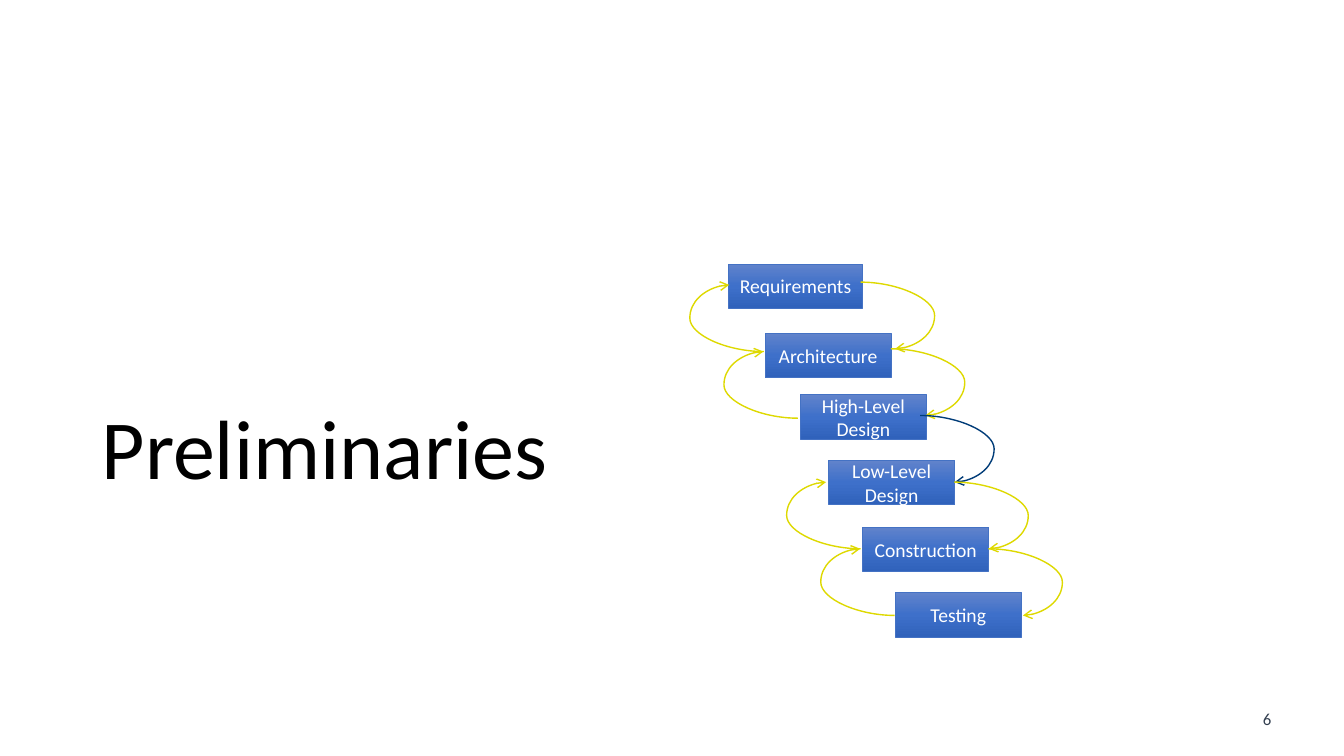
from copy import deepcopy

from lxml import etree
from pptx import Presentation
from pptx.dml.color import RGBColor
from pptx.enum.shapes import MSO_CONNECTOR, MSO_SHAPE
from pptx.enum.text import MSO_ANCHOR, MSO_AUTO_SIZE, PP_ALIGN
from pptx.oxml.ns import qn
from pptx.util import Cm, Pt

CURVE = MSO_CONNECTOR.CURVE
RECT = MSO_SHAPE.RECTANGLE
MIDDLE, BOTTOM = MSO_ANCHOR.MIDDLE, MSO_ANCHOR.BOTTOM
NO_AUTOFIT = MSO_AUTO_SIZE.NONE
LEFT, CENTER = PP_ALIGN.LEFT, PP_ALIGN.CENTER

BLACK = RGBColor(0x00, 0x00, 0x00)
WHITE = RGBColor(0xFF, 0xFF, 0xFF)
SLATE = RGBColor(0x33, 0x3F, 0x50)
BLUE = RGBColor(0x44, 0x72, 0xC4)
NAVY = RGBColor(0x00, 0x3C, 0x78)
YELLOW = RGBColor(0xDE, 0xD9, 0x00)
GRADIENT = (
    (0, RGBColor(0x61, 0x83, 0xCB)),
    (0.5, RGBColor(0x3E, 0x70, 0xCA)),
    (1, RGBColor(0x30, 0x62, 0xBB)),
)
FONT = "Calibri"

PHASES = (
    ("Requirements", 0.99, 0, 3.38),
    ("Architecture", 1.91, 1.75, 3.18),
    ("High-Level Design", 2.8, 3.3, 3.18),
    ("Low-Level Design", 3.51, 4.95, 3.18),
    ("Construction", 4.37, 6.63, 3.18),
    ("Testing", 5.19, 8.28, 3.18),
)
PHASE_HEIGHT = 1.12
FORWARD_STARTS = (
    (4.32, 0.46, YELLOW),
    (5.08, 2.14, YELLOW),
    (5.82, 3.82, NAVY),
    (6.68, 5.5, YELLOW),
    (7.54, 7.18, YELLOW),
)
BACK_STARTS = ((1.88, 2.21), (2.74, 3.89), (4.32, 7.18), (5.18, 8.86))
CURVE_DX, CURVE_DY = 0.87, 1.68
CURVE_BULGE = 214300


def style_paragraph(p, size, color, align):
    """Set the font and alignment of a paragraph."""
    p.alignment = align
    p.font.name = FONT
    p.font.size = Pt(size)
    p.font.color.rgb = color


def fill_gradient(sp):
    """Fill a shape with the vertical three-stop gradient."""
    sp.fill.gradient()
    sp.fill.gradient_angle = 270
    gs_list = sp.element.spPr.find(qn("a:gradFill")).find(qn("a:gsLst"))
    gs_list.append(deepcopy(gs_list[0]))
    for stop, (position, color) in zip(sp.fill.gradient_stops, GRADIENT):
        stop.position = position
        stop.color.rgb = color


def add_phase(slide, text, left, top, width):
    """Add one phase box with its centred label."""
    sp = slide.shapes.add_shape(RECT, Cm(left), Cm(top), Cm(width), Cm(PHASE_HEIGHT))
    sp.shadow.inherit = False
    fill_gradient(sp)
    sp.line.color.rgb = BLUE
    sp.line.width = Pt(0.5)
    tf = sp.text_frame
    tf.word_wrap = True
    tf.vertical_anchor = MIDDLE
    tf.text = text
    style_paragraph(tf.paragraphs[0], 14, WHITE, CENTER)


def add_curve(slide, x, y, direction, color):
    """Add a bulging arrow, forward for direction 1 and back for -1."""
    end_x, end_y = x + direction * CURVE_DX, y + direction * CURVE_DY
    cxn = slide.shapes.add_connector(CURVE, Cm(x), Cm(y), Cm(end_x), Cm(end_y))
    cxn.line.color.rgb = color
    cxn.line.width = Pt(1)
    sp_pr = cxn.element.spPr
    etree.SubElement(sp_pr.find(qn("a:ln")), qn("a:tailEnd"), type="arrow")
    etree.SubElement(sp_pr, qn("a:effectLst"))
    guides = sp_pr.find(qn("a:prstGeom")).find(qn("a:avLst"))
    etree.SubElement(guides, qn("a:gd"), name="adj1", fmla=f"val {CURVE_BULGE}")


def add_title(slide, text, left, top, width, height):
    """Place and format the title placeholder."""
    title = slide.shapes.title
    title.left, title.top = Cm(left), Cm(top)
    title.width, title.height = Cm(width), Cm(height)
    tf = title.text_frame
    tf.text = text
    tf.word_wrap = True
    tf.auto_size = NO_AUTOFIT
    tf.vertical_anchor = BOTTOM
    p = tf.paragraphs[0]
    p.line_spacing = 0.9
    style_paragraph(p, 60, BLACK, LEFT)


def add_process(slide, left, top):
    """Draw the staircase of phases and the arrows between them."""
    for text, x, y, width in PHASES:
        add_phase(slide, text, left + x, top + y, width)
    for x, y, color in FORWARD_STARTS:
        add_curve(slide, left + x, top + y, 1, color)
    for x, y in BACK_STARTS:
        add_curve(slide, left + x, top + y, -1, YELLOW)


def add_page_number(slide, text, left, top, width, height):
    """Add the page number in its corner."""
    box = slide.shapes.add_textbox(Cm(left), Cm(top), Cm(width), Cm(height))
    tf = box.text_frame
    tf.word_wrap = True
    tf.text = text
    style_paragraph(tf.paragraphs[0], 12, SLATE, CENTER)


def main():
    """Build the slide and save it."""
    prs = Presentation()
    prs.slide_width, prs.slide_height = Cm(33.87), Cm(19.05)
    slide = prs.slides.add_slide(prs.slide_layouts[5])
    add_title(slide, "Preliminaries", 2.31, 4.75, 29.21, 7.92)
    add_process(slide, 17.37, 6.65)
    add_page_number(slide, "6", 31.34, 17.73, 1.19, 0.76)
    prs.save("out.pptx")


if __name__ == "__main__":
    main()
